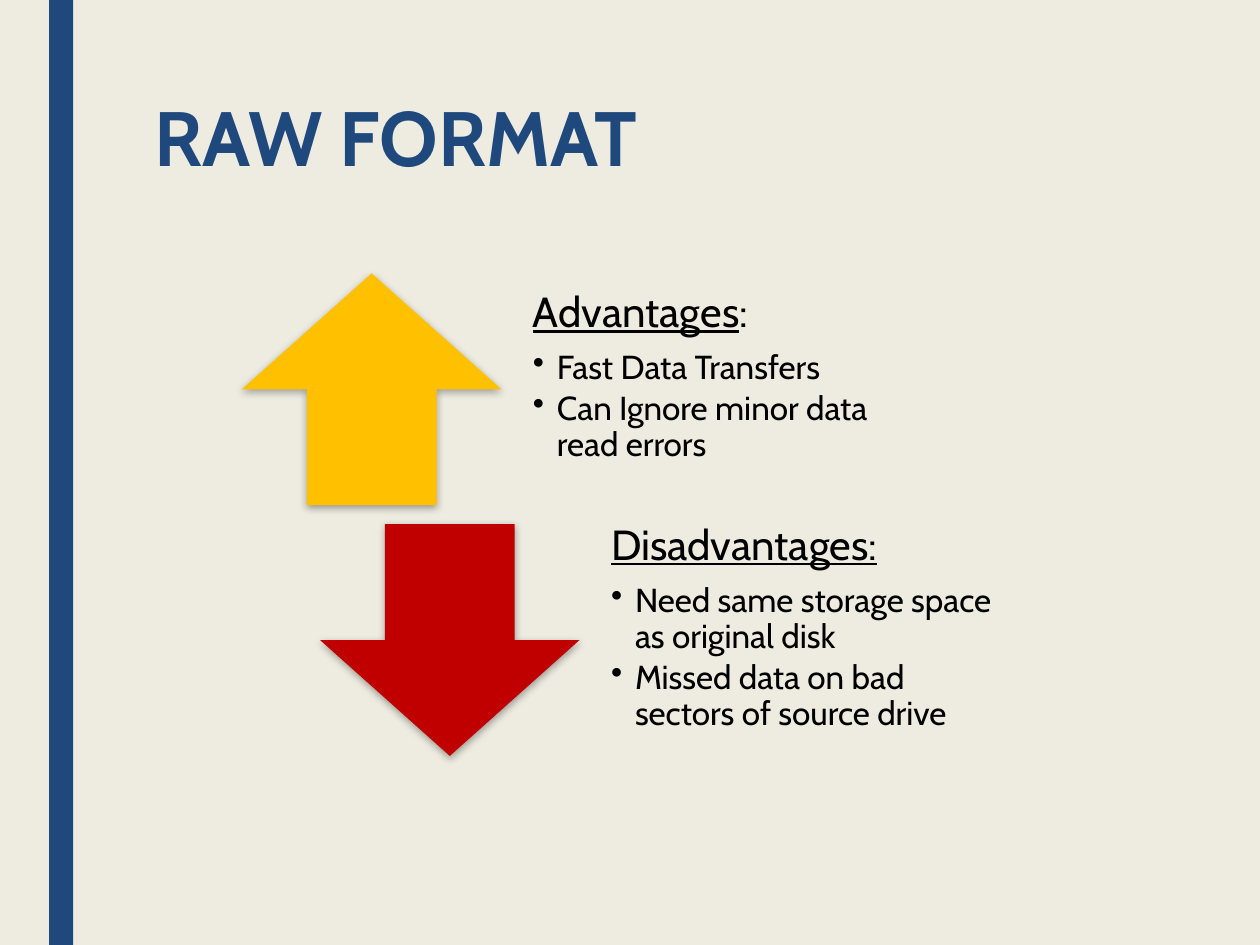
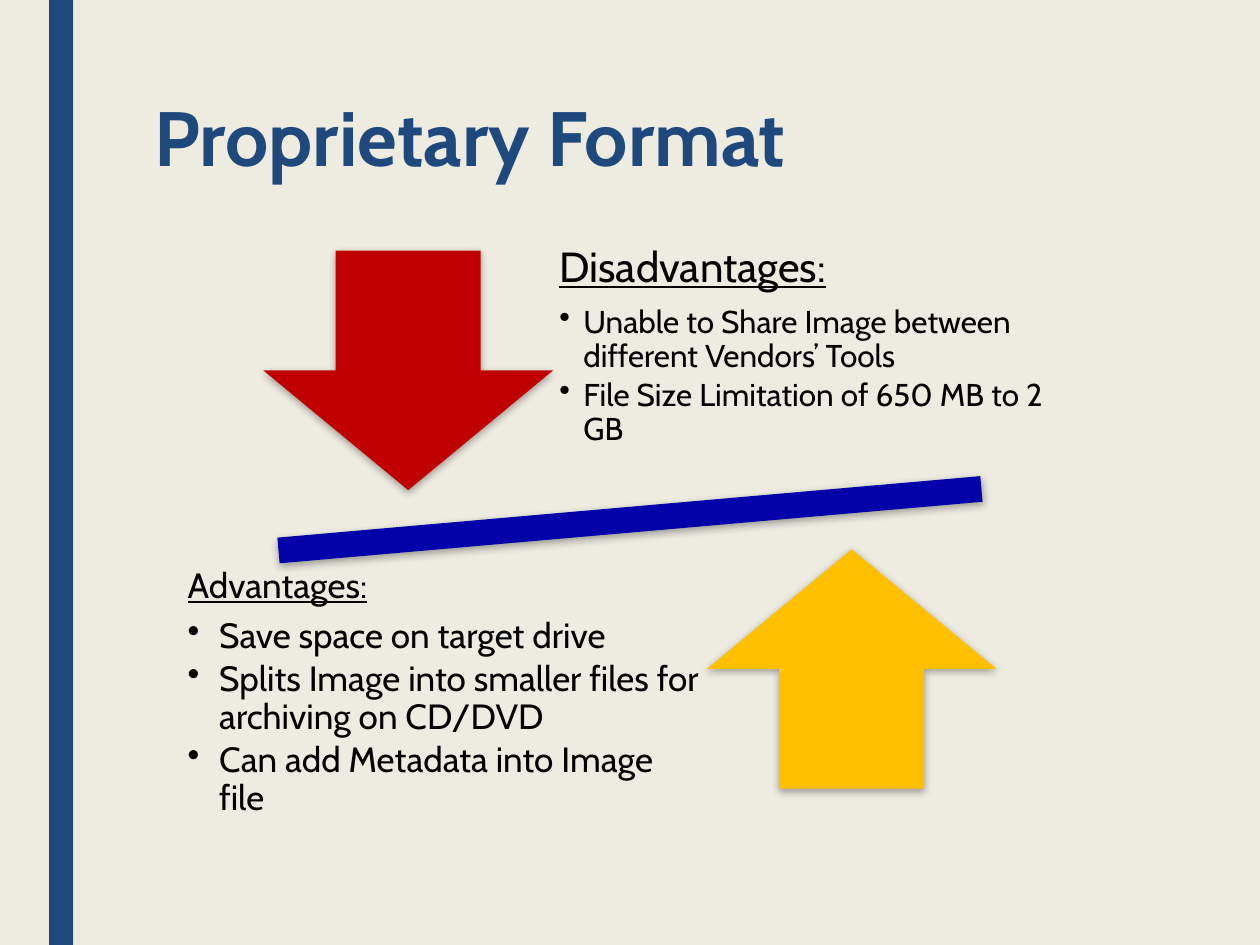
from dataclasses import dataclass

from lxml.etree import SubElement
from pptx import Presentation
from pptx.dml.color import RGBColor
from pptx.enum.shapes import MSO_SHAPE as Shape
from pptx.enum.text import MSO_ANCHOR as Anchor
from pptx.oxml.ns import qn
from pptx.util import Emu, Inches, Pt

COLS, ROWS = 100, 75
WIDTH, HEIGHT = Inches(10), Inches(7.5)
FONT = "Cabin"
CREAM, NAVY, BLACK = "EEECE1", "1F497D", "000000"
GOLD, RED, BLUE = "FFC000", "C00000", "0403A9"


@dataclass(frozen=True)
class Box:
    col: float
    row: float
    cols: float
    rows: float

    def shifted(self, cols: float, rows: float) -> "Box":
        return Box(self.col + cols, self.row + rows, self.cols, self.rows)


@dataclass(frozen=True)
class Figure:
    kind: Shape
    box: Box
    color: str
    rotation: float = 0


@dataclass(frozen=True)
class Points:
    box: Box
    heading: str
    bullets: tuple[str, ...]
    heading_size: float
    bullet_size: float
    inset: float = 1.9
    top_inset: float = 1.9
    indent: float = 1.9
    plain_tail: str = ""


def rgb(color: str) -> RGBColor:
    return RGBColor.from_string(color)


def across(cols: float) -> Emu:
    return Emu(round(WIDTH * cols / COLS))


def down(rows: float) -> Emu:
    return Emu(round(HEIGHT * rows / ROWS))


def place(box: Box) -> tuple[Emu, Emu, Emu, Emu]:
    return across(box.col), down(box.row), across(box.cols), down(box.rows)


def style(p, size: float, color: str, spacing: float, after: float = 0) -> None:
    p.font.name, p.font.size = FONT, Pt(size)
    p.font.color.rgb = rgb(color)
    p.line_spacing = spacing
    p.space_after = Pt(after * size)


def add_shadow(sp) -> None:
    effects = sp._element.spPr.find(qn("a:effectLst"))
    shadow = SubElement(effects, qn("a:outerShdw"), blurRad=str(Pt(4.5)),
                        dist=str(Pt(1.5)), dir="5400000", rotWithShape="0")
    color = SubElement(shadow, qn("a:srgbClr"), val=BLACK)
    SubElement(color, qn("a:alpha"), val="35000")


def add_figure(s, figure: Figure, shadow: bool = True) -> None:
    sp = s.shapes.add_shape(figure.kind, *place(figure.box))
    sp.rotation = figure.rotation
    sp.fill.solid()
    sp.fill.fore_color.rgb = rgb(figure.color)
    sp.line.fill.background()
    sp.shadow.inherit = False
    if shadow:
        add_shadow(sp)


def add_bullet(p, indent: float) -> None:
    props = p._p.get_or_add_pPr()
    props.set("marL", str(across(indent)))
    props.set("indent", str(-across(indent)))
    mark = SubElement(props, qn("a:buChar"), char="•")
    props.find(qn("a:defRPr")).addprevious(mark)


def add_points(s, points: Points) -> None:
    tf = s.shapes.add_textbox(*place(points.box)).text_frame
    tf.word_wrap = True
    tf.vertical_anchor = Anchor.MIDDLE
    tf.margin_left = tf.margin_right = across(points.inset)
    tf.margin_top, tf.margin_bottom = down(points.top_inset), down(points.inset)
    p = tf.paragraphs[0]
    style(p, points.heading_size, BLACK, 0.9, 0.35)
    r = p.add_run()
    r.text, r.font.underline = points.heading, True
    if points.plain_tail:
        p.add_run().text = points.plain_tail
    for bullet in points.bullets:
        p = tf.add_paragraph()
        p.text, p.level = bullet, 1
        style(p, points.bullet_size, BLACK, 0.9, 0.15)
        add_bullet(p, points.indent)


def add_slide(prs, title: str, figures: list[Figure], texts: list[Points]) -> None:
    s = prs.slides.add_slide(prs.slide_layouts[6])
    s.background.fill.solid()
    s.background.fill.fore_color.rgb = rgb(CREAM)
    add_figure(s, Figure(Shape.RECTANGLE, Box(3.9, 0, 1.9, ROWS), NAVY), shadow=False)
    tf = s.shapes.add_textbox(*place(Box(11.3, 7.5, 75.3, 8.4))).text_frame
    tf.word_wrap = True
    p = tf.paragraphs[0]
    p.text = title
    style(p, 44, NAVY, 0.89)
    p.font.bold = True
    for figure in figures:
        add_figure(s, figure)
    for points in texts:
        add_points(s, points)


def main() -> None:
    prs = Presentation()
    prs.slide_width, prs.slide_height = WIDTH, HEIGHT

    arrow, text = Box(19.2, 21.7, 20.6, 18.4), Box(40.4, 21.7, 35, 18.4)
    step = (6.2, 19.9)
    add_slide(
        prs, "RAW FORMAT",
        [Figure(Shape.UP_ARROW, arrow, GOLD),
         Figure(Shape.DOWN_ARROW, arrow.shifted(*step), RED)],
        [Points(text, "Advantages",
                ("Fast Data Transfers", "Can Ignore minor data read errors"),
                24, 19, top_inset=0, plain_tail=":"),
         Points(text.shifted(*step), "Disadvantages:",
                ("Need same storage space as original disk",
                 "Missed data on bad sectors of source drive"),
                24, 19, top_inset=0)])

    arrow = Box(20.9, 19.9, 23, 19)
    add_slide(
        prs, "Proprietary Format",
        [Figure(Shape.MATH_MINUS, Box(11.9, 36.9, 76.2, 8.7), BLUE, 355),
         Figure(Shape.DOWN_ARROW, arrow, RED),
         Figure(Shape.UP_ARROW, arrow.shifted(35.2, 23.7), GOLD)],
        [Points(Box(42.5, 17.5, 44.2, 20), "Disadvantages:",
                ("Unable to Share Image between different Vendors’ Tools",
                 "File Size Limitation of 650 MB to 2 GB"), 24, 18),
         Points(Box(13.3, 44.6, 44.2, 20.8), "Advantages:",
                ("Save space on target drive",
                 "Splits Image into smaller files for archiving on CD/DVD",
                 "Can add Metadata into Image file"),
                20, 20, inset=1.6, top_inset=1.6, indent=2.5)])

    prs.save("out.pptx")


if __name__ == "__main__":
    main()
